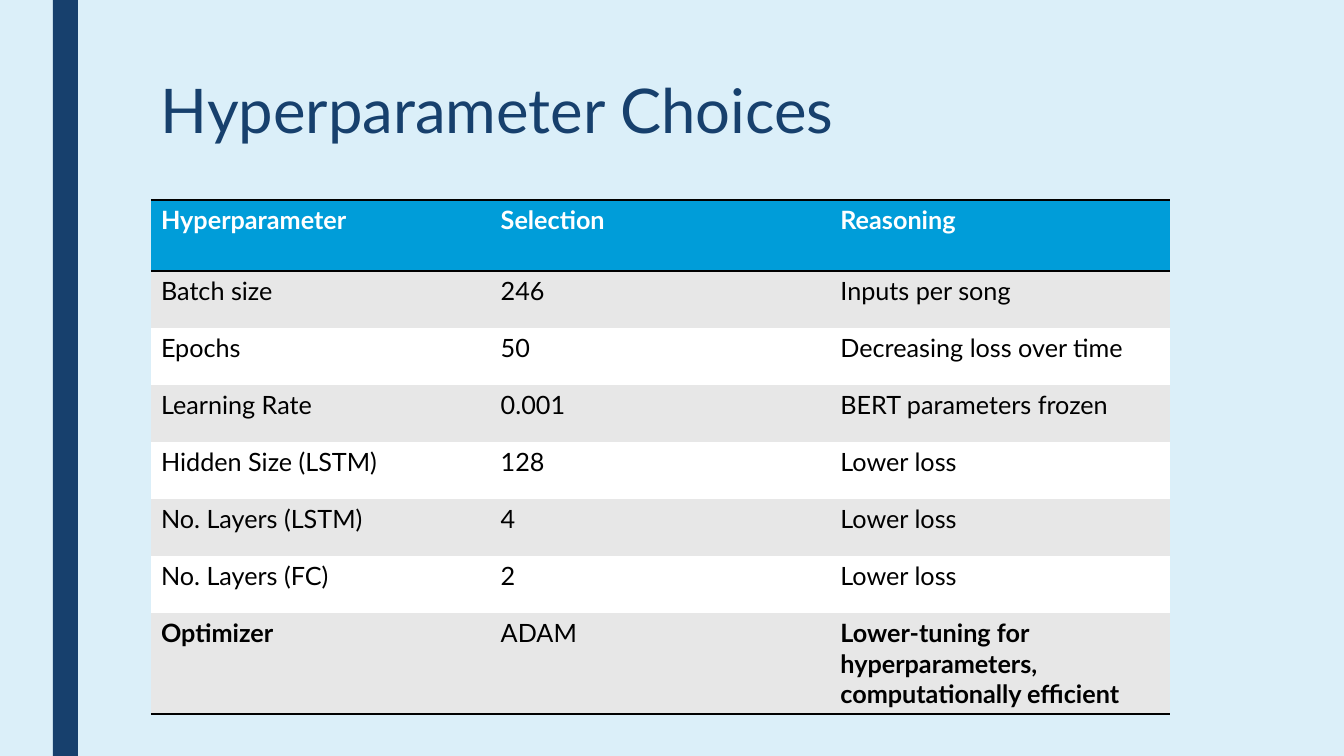
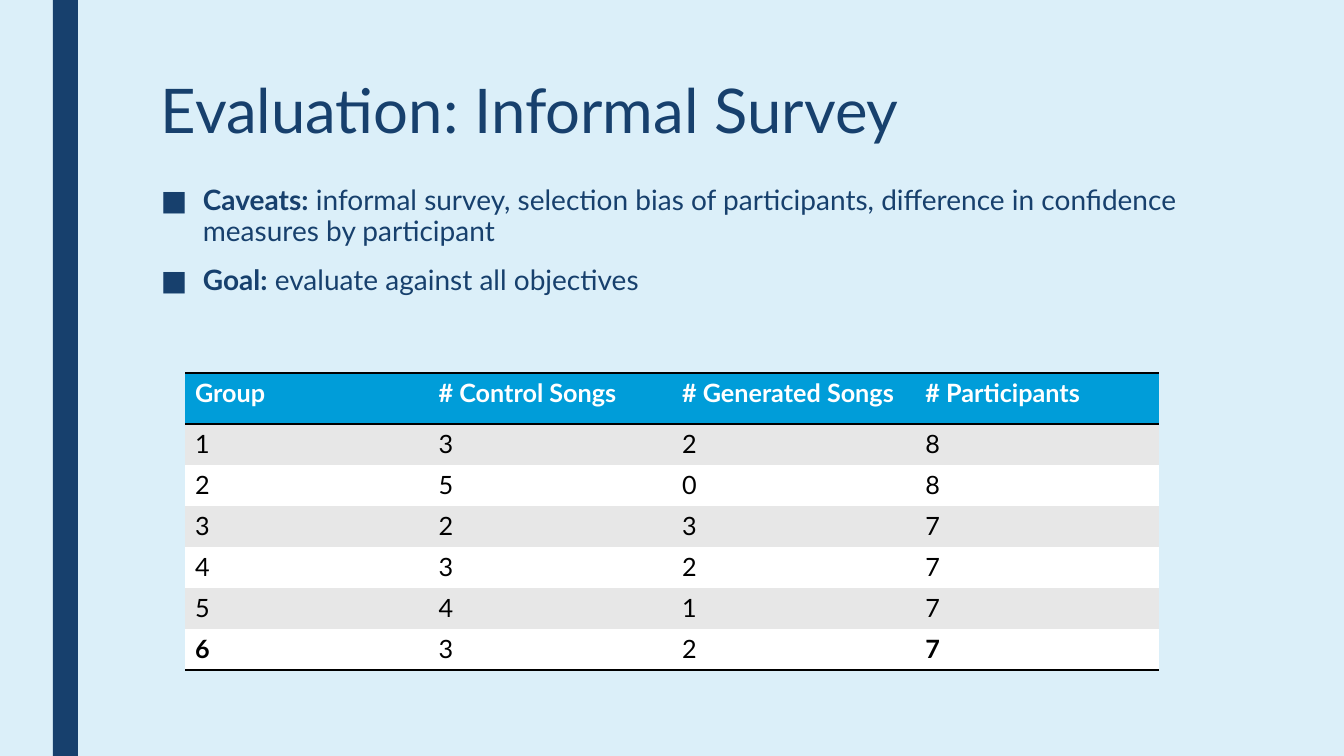
from dataclasses import dataclass
from typing import NamedTuple

from lxml import etree
from pptx import Presentation
from pptx.dml.color import RGBColor
from pptx.enum import shapes, text
from pptx.oxml import ns
from pptx.util import Emu, Pt

SLIDE_W, SLIDE_H = 1344, 756
EMU_PER_PX = 12192000 / SLIDE_W
PLAIN_TABLE_STYLE = "{2D5ABB26-0587-4C30-8999-92F81FD0307C}"


@dataclass(frozen=True)
class Theme:
    font: str = "Lato"
    background: str = "DBEFF9"
    navy: str = "17406D"
    header: str = "009DD9"
    header_text: str = "FFFFFF"
    cell_text: str = "000000"
    rule: str = "000000"
    bands: tuple[str, str] = ("E7E7E7", "FFFFFF")
    title_size: int = 44
    body_size: int = 20
    table_size: int = 18
    rule_width: int = 2


THEME = Theme()


class Box(NamedTuple):
    left: int
    top: int
    width: int
    height: int


class Point(NamedTuple):
    label: str
    detail: str


@dataclass(frozen=True)
class Grid:
    left: int
    top: int
    width: int
    header_height: int
    row_height: int
    last_height: int
    rows: tuple[tuple[str, ...], ...]


BAND = Box(53, 0, 25, SLIDE_H)
TITLE = Box(151, 76, 1058, 163)
POINTS = Box(151, 180, 1058, 153)
HANGING_INDENT = 42

HYPERPARAMETERS = Grid(151, 200, 1019, 71, 57, 100, (
    ("Hyperparameter", "Selection", "Reasoning"),
    ("Batch size", "246", "Inputs per song"),
    ("Epochs", "50", "Decreasing loss over time"),
    ("Learning Rate", "0.001", "BERT parameters frozen"),
    ("Hidden Size (LSTM)", "128", "Lower loss"),
    ("No. Layers (LSTM)", "4", "Lower loss"),
    ("No. Layers (FC)", "2", "Lower loss"),
    ("Optimizer", "ADAM",
     "Lower-tuning for hyperparameters, computationally efficient"),
))

SURVEY_GROUPS = Grid(185, 373, 974, 51, 41, 41, (
    ("Group", "# Control Songs", "# Generated Songs", "# Participants"),
    ("1", "3", "2", "8"),
    ("2", "5", "0", "8"),
    ("3", "2", "3", "7"),
    ("4", "3", "2", "7"),
    ("5", "4", "1", "7"),
    ("6", "3", "2", "7"),
))

SURVEY_POINTS = (
    Point("Caveats:", " informal survey, selection bias of participants, "
          "difference in confidence measures by participant"),
    Point("Goal:", " evaluate against all objectives"),
)


def px(length: float) -> Emu:
    return Emu(round(length * EMU_PER_PX))


def place(box: Box) -> tuple[Emu, ...]:
    return tuple(px(length) for length in box)


def style_font(font, size: int, color: str, bold: bool = False) -> None:
    font.name = THEME.font
    font.size = Pt(size)
    font.bold = bold
    font.color.rgb = RGBColor.from_string(color)


def fill_solid(fill, color: str) -> None:
    fill.solid()
    fill.fore_color.rgb = RGBColor.from_string(color)


def add_frame(slide, box: Box):
    frame = slide.shapes.add_textbox(*place(box)).text_frame
    frame.word_wrap = True
    frame.vertical_anchor = text.MSO_ANCHOR.TOP
    return frame


def add_titled_slide(prs, heading: str):
    slide = prs.slides.add_slide(prs.slide_layouts[6])
    band = slide.shapes.add_shape(shapes.MSO_SHAPE.RECTANGLE, *place(BAND))
    band.shadow.inherit = False
    fill_solid(band.fill, THEME.navy)
    band.line.fill.background()
    frame = add_frame(slide, TITLE)
    frame.text = heading
    title = frame.paragraphs[0]
    title.line_spacing = 0.89
    style_font(title.runs[0].font, THEME.title_size, THEME.navy)
    return slide


def add_bullet(paragraph) -> None:
    props = paragraph._p.get_or_add_pPr()
    props.set("marL", str(px(HANGING_INDENT)))
    props.set("indent", str(-px(HANGING_INDENT)))
    etree.SubElement(props, ns.qn("a:buFont"), typeface=THEME.font)
    etree.SubElement(props, ns.qn("a:buChar"), char="■")


def add_points(slide, points: tuple[Point, ...]) -> None:
    frame = add_frame(slide, POINTS)
    for index, point in enumerate(points):
        paragraph = frame.add_paragraph() if index else frame.paragraphs[0]
        add_bullet(paragraph)
        paragraph.line_spacing = 0.94
        paragraph.space_before = Pt(10 if index else 0)
        paragraph.space_after = Pt(2)
        for part, bold in ((point.label, True), (point.detail, False)):
            run = paragraph.add_run()
            run.text = part
            style_font(run.font, THEME.body_size, THEME.navy, bold)


def add_rules(cell, sides: tuple[str, ...]) -> None:
    props = cell._tc.get_or_add_tcPr()
    for position, side in enumerate(sides):
        line = etree.Element(ns.qn(f"a:{side}"), w=str(Pt(THEME.rule_width)))
        solid = etree.SubElement(line, ns.qn("a:solidFill"))
        etree.SubElement(solid, ns.qn("a:srgbClr"), val=THEME.rule)
        props.insert(position, line)


def add_grid(slide, grid: Grid) -> None:
    last = len(grid.rows) - 1
    columns = len(grid.rows[0])
    heights = [grid.header_height, *[grid.row_height] * (last - 1), grid.last_height]
    box = Box(grid.left, grid.top, grid.width, sum(heights))
    table = slide.shapes.add_table(last + 1, columns, *place(box)).table
    table._tbl.tblPr.find(ns.qn("a:tableStyleId")).text = PLAIN_TABLE_STYLE
    for column in table.columns:
        column.width = px(grid.width / columns)
    for r, (values, height) in enumerate(zip(grid.rows, heights)):
        table.rows[r].height = px(height)
        is_header = r == 0
        for c, value in enumerate(values):
            cell = table.cell(r, c)
            cell.text_frame.text = value
            is_corner = r == last and c in (0, columns - 1)
            style_font(
                cell.text_frame.paragraphs[0].runs[0].font,
                THEME.table_size,
                THEME.header_text if is_header else THEME.cell_text,
                is_header or is_corner,
            )
            fill_solid(cell.fill, THEME.header if is_header else THEME.bands[(r - 1) % 2])
            if is_header:
                add_rules(cell, ("lnT", "lnB"))
            elif r == last:
                add_rules(cell, ("lnB",))


def main() -> None:
    prs = Presentation()
    prs.slide_width, prs.slide_height = px(SLIDE_W), px(SLIDE_H)
    fill_solid(prs.slide_master.background.fill, THEME.background)

    choices = add_titled_slide(prs, "Hyperparameter Choices")
    add_grid(choices, HYPERPARAMETERS)

    survey = add_titled_slide(prs, "Evaluation: Informal Survey")
    add_points(survey, SURVEY_POINTS)
    add_grid(survey, SURVEY_GROUPS)

    prs.save("out.pptx")


if __name__ == "__main__":
    main()
